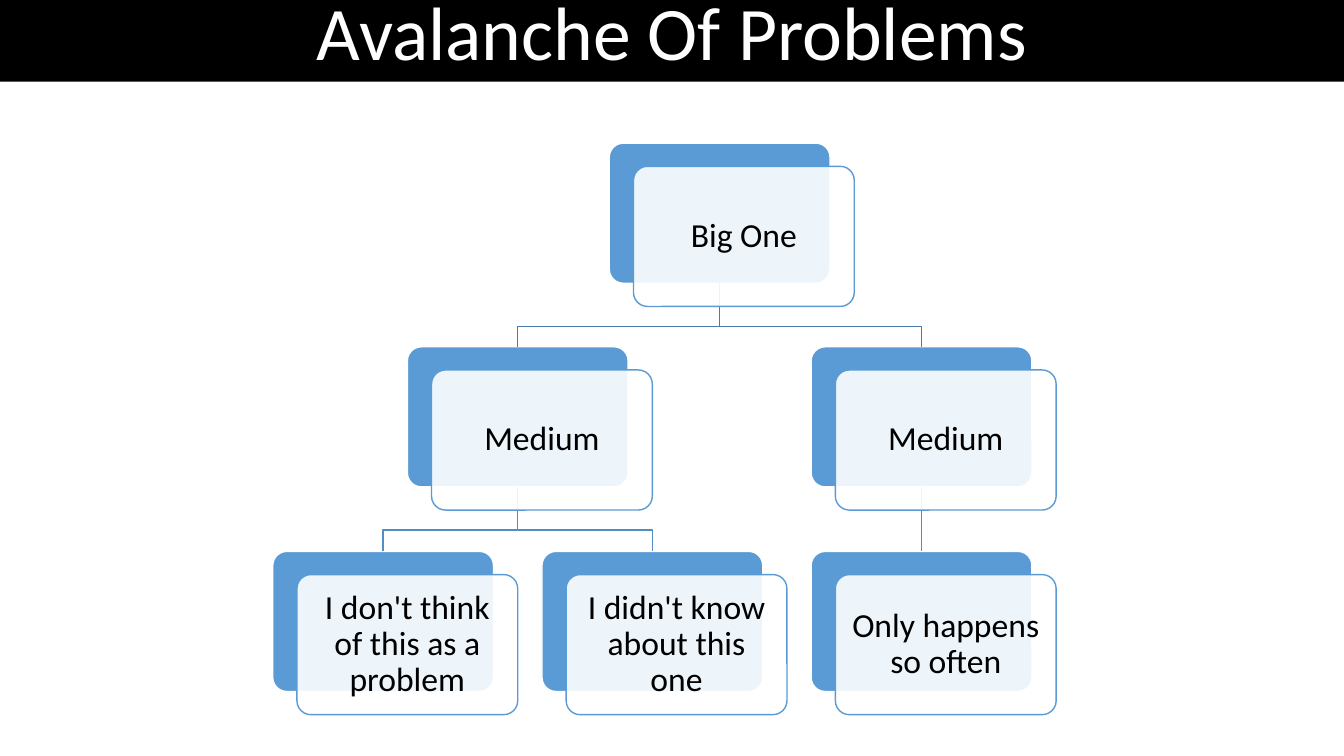
"""Build the Avalanche Of Problems hierarchy slide."""
from lxml import etree
from pptx import Presentation
from pptx.dml.color import RGBColor
from pptx.enum import shapes, text
from pptx.oxml.ns import qn
from pptx.util import Inches, Pt

TITLE = "Avalanche Of Problems"
PROBLEMS = {
    "big": ("Big One", 0, ["medium left", "medium right"]),
    "medium left": ("Medium", 1, ["not a problem", "unknown"]),
    "medium right": ("Medium", 1, ["rare"]),
    "not a problem": ("I don't think of this as a problem", 2, []),
    "unknown": ("I didn't know about this one", 2, []),
    "rare": ("Only happens so often", 2, []),
}
COLORS = {"black": "000000", "white": "FFFFFF", "card": "5B9BD5",
          "upper link": "497CAB", "lower link": "538DC1"}
FONT = "Calibri"
SLIDE_W, SLIDE_H, TITLE_H = 13.33, 7.5, 0.81
CARD_W, CARD_H, CORNER = 2.19, 1.39, 0.1
FRONT_DX, FRONT_DY, FRONT_ALPHA = 0.24, 0.23, 90
FIRST_CENTER, COLUMN_STEP = 3.8, 2.67
ROW_TOPS = [1.42, 3.44, 5.47]
BEND_DROP = 0.43


def color(name):
    return RGBColor.from_string(COLORS[name])


def write(shape, words, *, size, ink, anchor, margin_x=0.1, margin_y=0.05):
    frame = shape.text_frame
    frame.word_wrap = True
    frame.vertical_anchor = anchor
    frame.margin_left = frame.margin_right = Inches(margin_x)
    frame.margin_top = frame.margin_bottom = Inches(margin_y)
    line = frame.paragraphs[0]
    line.alignment = text.PP_ALIGN.CENTER
    line.line_spacing = 0.9
    run = line.add_run()
    run.text = words
    run.font.name, run.font.size = FONT, Pt(size)
    run.font.color.rgb = color(ink)


def add_box(slide, kind, left, top, width, height, fill, edge=None):
    box = slide.shapes.add_shape(kind, *map(Inches, (left, top, width, height)))
    box.shadow.inherit = False
    box.fill.solid()
    box.fill.fore_color.rgb = color(fill)
    if edge:
        box.adjustments[0] = CORNER
        box.line.color.rgb = color(edge)
        box.line.width = Pt(1)
    else:
        box.line.fill.background()
    return box


def add_card(slide, left, top, fill, edge):
    return add_box(slide, shapes.MSO_SHAPE.ROUNDED_RECTANGLE,
                   left, top, CARD_W, CARD_H, fill, edge)


def add_straight_link(slide, parent, child):
    link = slide.shapes.add_connector(shapes.MSO_CONNECTOR.STRAIGHT, 0, 0, 0, 0)
    link.begin_connect(parent, 2)
    link.end_connect(child, 0)
    etree.SubElement(link._element.spPr, qn("a:effectLst"))
    return link


def add_bent_link(slide, start, end):
    x1, y1, x2, y2 = map(Inches, start + end)
    bend = y1 + Inches(BEND_DROP)
    outline = slide.shapes.build_freeform(x1, y1)
    outline.add_line_segments([(x1, bend), (x2, bend), (x2, y2)], close=False)
    link = outline.convert_to_shape()
    link.shadow.inherit = False
    link.fill.background()
    return link


def find_centers():
    leaves = [key for key, (_, _, children) in PROBLEMS.items() if not children]
    centers = {key: FIRST_CENTER + i * COLUMN_STEP for i, key in enumerate(leaves)}
    for key, (_, _, children) in reversed(PROBLEMS.items()):
        if children:
            centers[key] = sum(centers[child] for child in children) / len(children)
    return centers


def main():
    deck = Presentation()
    deck.slide_width, deck.slide_height = Inches(SLIDE_W), Inches(SLIDE_H)
    slide = deck.slides.add_slide(deck.slide_layouts[6])
    banner = add_box(slide, shapes.MSO_SHAPE.RECTANGLE, 0, 0, SLIDE_W, TITLE_H, "black")
    write(banner, TITLE, size=54, ink="white", anchor=text.MSO_ANCHOR.BOTTOM)

    centers = find_centers()
    tops = {key: ROW_TOPS[level] for key, (_, level, _) in PROBLEMS.items()}
    backs = {key: add_card(slide, centers[key] - CARD_W / 2, tops[key], "card", "white")
             for key in PROBLEMS}

    for key, (_, level, children) in PROBLEMS.items():
        for child in children:
            if len(children) == 1:
                link = add_straight_link(slide, backs[key], backs[child])
            else:
                link = add_bent_link(slide, (centers[key], tops[key] + CARD_H),
                                     (centers[child], tops[child]))
            link.line.color.rgb = color("lower link" if level else "upper link")
            link.line.width = Pt(1)

    for key, (words, _, _) in PROBLEMS.items():
        front = add_card(slide, centers[key] - CARD_W / 2 + FRONT_DX,
                         tops[key] + FRONT_DY, "white", "card")
        tint = front._element.spPr.find(qn("a:solidFill"))[0]
        etree.SubElement(tint, qn("a:alpha"), val=str(FRONT_ALPHA * 1000))
        write(front, words, size=24, ink="black", anchor=text.MSO_ANCHOR.MIDDLE,
              margin_y=0.1)

    deck.save("out.pptx")


if __name__ == "__main__":
    main()
